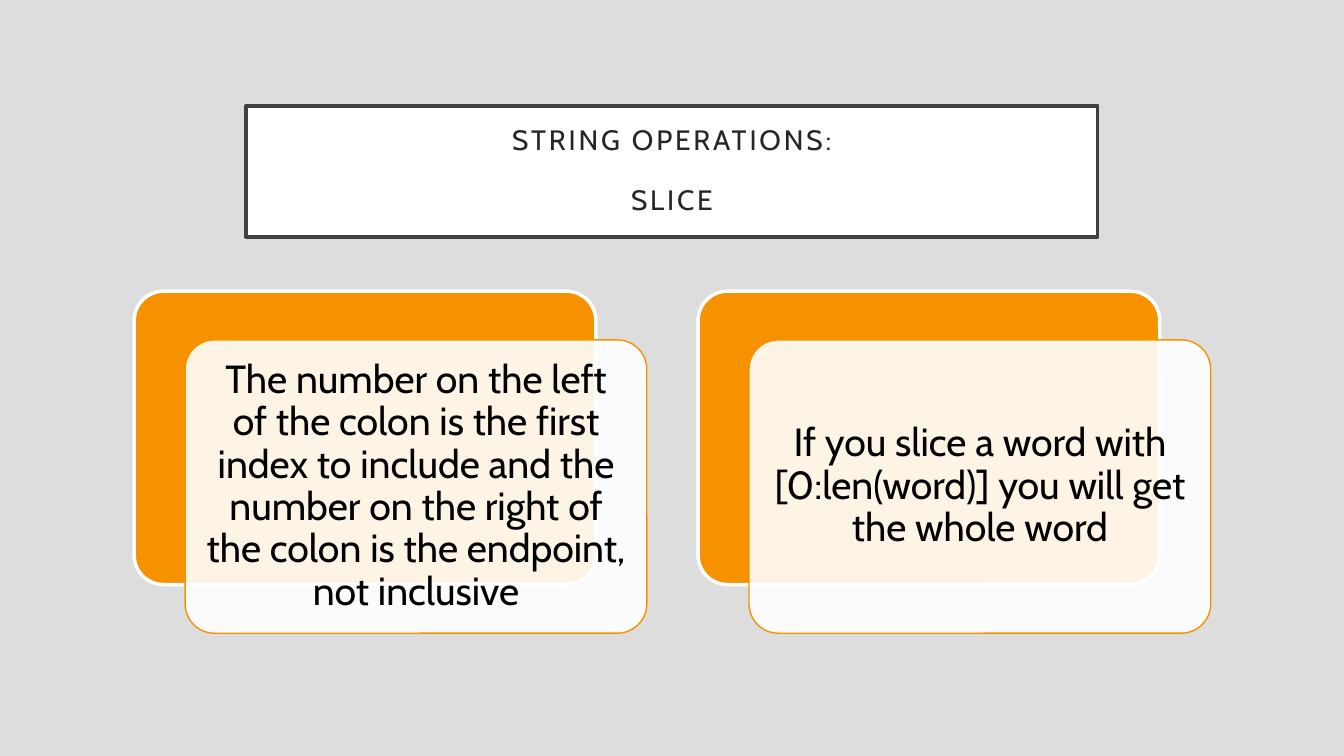
from dataclasses import dataclass

from lxml.etree import SubElement
from pptx import Presentation
from pptx.dml.color import RGBColor as Rgb
from pptx.enum.shapes import MSO_SHAPE as Shape
from pptx.enum.text import MSO_ANCHOR as Anchor, PP_ALIGN as Align
from pptx.oxml.ns import qn
from pptx.util import Pt


@dataclass(frozen=True)
class Theme:
    font: str = "Cabin"
    backdrop: Rgb = Rgb(0xDD, 0xDD, 0xDD)
    white: Rgb = Rgb(0xFF, 0xFF, 0xFF)
    orange: Rgb = Rgb(0xF6, 0x92, 0x00)
    frame: Rgb = Rgb(0x40, 0x40, 0x40)
    heading: Rgb = Rgb(0x26, 0x26, 0x26)
    body: Rgb = Rgb(0x00, 0x00, 0x00)
    heading_size: int = 20
    body_size: int = 28


theme = Theme()
presentation = Presentation()
presentation.slide_width, presentation.slide_height = Pt(960), Pt(540)
slide = presentation.slides.add_slide(presentation.slide_layouts[6])
slide.background.fill.solid()
slide.background.fill.fore_color.rgb = theme.backdrop


def add_block(preset, left, top, width, height, fill, line, line_width):
    block = slide.shapes.add_shape(preset, Pt(left), Pt(top), Pt(width), Pt(height))
    block.shadow.inherit = False
    block.fill.solid()
    block.fill.fore_color.rgb = fill
    block.line.color.rgb = line
    block.line.width = Pt(line_width)
    if preset == Shape.ROUNDED_RECTANGLE:
        block.adjustments[0] = 0.1
    return block


def write_text(block, text, size, color, inset):
    frame = block.text_frame
    frame.text = text
    frame.word_wrap = True
    frame.vertical_anchor = Anchor.MIDDLE
    frame.margin_left = frame.margin_right = Pt(inset)
    frame.margin_top = frame.margin_bottom = Pt(inset)
    for paragraph in frame.paragraphs:
        paragraph.alignment = Align.CENTER
        paragraph.line_spacing = 0.9
        for run in paragraph.runs:
            run.font.name = theme.font
            run.font.size = Pt(size)
            run.font.color.rgb = color
    return frame.paragraphs


title = add_block(Shape.RECTANGLE, 175.7, 75.6, 608.4, 93.6,
                  theme.white, theme.frame, 2.5)
title_lines = write_text(title, "STRING OPERATIONS:\nSLICE",
                         theme.heading_size, theme.heading, 14.4)
title_lines[1].space_before = Pt(21.8)
for title_line in title_lines:
    title_line.runs[0].font._element.set("spc", "200")

rules = [
    "The number on the left of the colon is the first index to include "
    "and the number on the right of the colon is the endpoint, not inclusive",
    "If you slice a word with [0:len(word)] you will get the whole word",
]
card_left, card_top, card_width, card_height = 95.8, 208, 329.8, 209.5
card_pitch, panel_dx, panel_dy = 402.8, 36.4, 34.8

for index, rule in enumerate(rules):
    left = card_left + index * card_pitch
    add_block(Shape.ROUNDED_RECTANGLE, left, card_top, card_width, card_height,
              theme.orange, theme.white, 2.5)
    panel = add_block(Shape.ROUNDED_RECTANGLE, left + panel_dx, card_top + panel_dy,
                      card_width, card_height, theme.white, theme.orange, 1)
    panel_color = panel.fill._xPr.find(qn("a:solidFill"))[0]
    SubElement(panel_color, qn("a:alpha"), val="90000")
    write_text(panel, rule, theme.body_size, theme.body, 8.4)

presentation.save("out.pptx")
